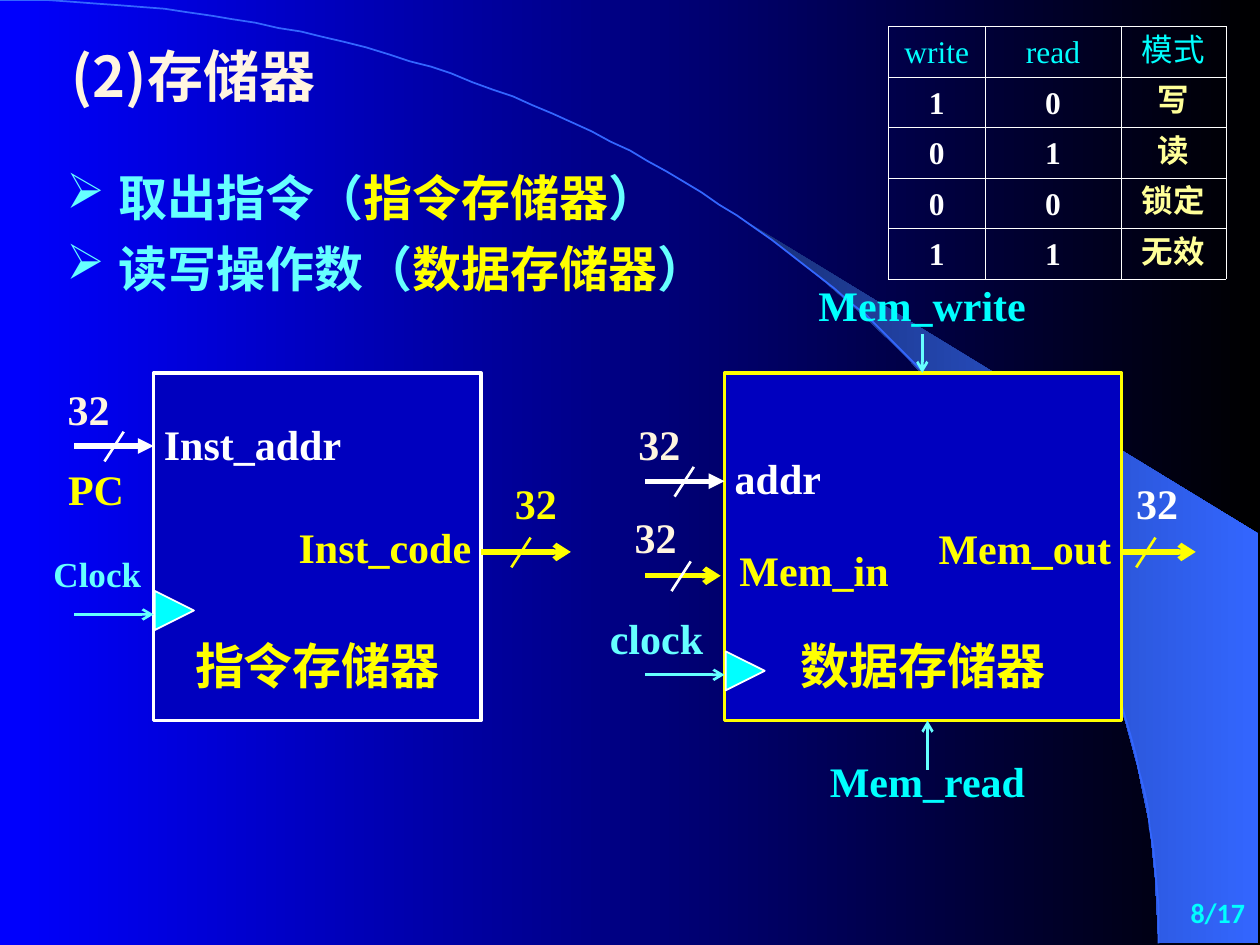
from lxml import etree
from pptx import Presentation
from pptx.dml.color import RGBColor
from pptx.enum import shapes, text
from pptx.oxml import ns
from pptx.util import Pt

SERIF, CJK = "Times New Roman", "Noto Sans CJK SC"
WHITE, CREAM, YELLOW = "FFFFFF", "FFF5E0", "FFFF00"
CYAN, AQUA, NAVY, BLUE = "00FFFF", "66FFFF", "0000BF", "3366FF"
LEFT, CENTER, RIGHT = text.PP_ALIGN.LEFT, text.PP_ALIGN.CENTER, text.PP_ALIGN.RIGHT
MIDDLE, BOTTOM = text.MSO_ANCHOR.MIDDLE, text.MSO_ANCHOR.BOTTOM


def color(value):
    return RGBColor.from_string(value)


def child(parent, tag, **attributes):
    return etree.SubElement(parent, ns.qn(tag), attributes)


def apply(target, values):
    for name, value in values.items():
        setattr(target, name, value)


def gradient(fill, start, end):
    fill.gradient()
    fill.gradient_angle = 0
    for stop, value in zip(fill.gradient_stops, (start, end)):
        stop.color.rgb = color(value)


def add_span(para, words, tint, size, font=SERIF, bold=True):
    span = para.add_run()
    span.text = words
    apply(span.font, {"size": Pt(size), "bold": bold, "name": font})
    span.font.color.rgb = color(tint)
    child(span.font._element, "a:ea", typeface=CJK)


def set_frame(frame, anchor, bottom=0):
    apply(frame, {"word_wrap": True, "vertical_anchor": anchor,
                  "margin_left": 0, "margin_right": 0,
                  "margin_top": 0, "margin_bottom": Pt(bottom)})


def add_label(page, words, x, middle, width, tint, align=LEFT, size=24, font=SERIF):
    """x is the left edge, centre or right edge, according to align."""
    left = x - width * {LEFT: 0, CENTER: 0.5, RIGHT: 1}[align]
    height = size * 1.3
    box = page.shapes.add_textbox(Pt(left), Pt(middle - height / 2), Pt(width), Pt(height))
    set_frame(box.text_frame, MIDDLE)
    para = box.text_frame.paragraphs[0]
    para.alignment = align
    add_span(para, words, tint, size, font)


def add_line(page, start, end, tint, width, head=None):
    line = page.shapes.add_connector(
        shapes.MSO_CONNECTOR.STRAIGHT, *(Pt(n) for n in (*start, *end)))
    line.line.color.rgb = color(tint)
    line.line.width = Pt(width)
    if head:
        child(line.line._get_or_add_ln(), "a:tailEnd", type=head)
    child(line._element.spPr, "a:effectLst")


def add_shape(page, kind, left, top, width, height, fill, line, weight):
    shape = page.shapes.add_shape(kind, Pt(left), Pt(top), Pt(width), Pt(height))
    shape.shadow.inherit = False
    shape.fill.solid()
    shape.fill.fore_color.rgb = color(fill)
    shape.line.color.rgb = color(line)
    shape.line.width = Pt(weight)
    return shape


def add_outline(page, points, close):
    builder = page.shapes.build_freeform(*points[0], scale=Pt(1))
    builder.add_line_segments(points[1:], close=close)
    shape = builder.convert_to_shape()
    shape.shadow.inherit = False
    return shape


def add_backdrop(page):
    gradient(page.background.fill, "0000FF", "000000")

    # Shaded swoosh
    swoosh = add_outline(page, [
        (662.4, 538.6), (719.3, 539.3), (719.3, 304.6), (424, 124.6), (449.3, 143.3),
        (470.2, 159.8), (493.2, 180), (515.5, 201.6), (548.6, 237.6), (578.2, 276.5),
        (599, 310.3), (617.8, 344.9), (632.2, 380.2), (643, 411.8), (650.2, 438.5),
        (657.4, 472.3), (660.2, 501.1)], True)
    gradient(swoosh.fill, "182F76", BLUE)
    swoosh.line.fill.background()

    # Quarter arc, sampled from a cubic curve
    steps = 80
    arc = []
    for step in range(steps + 1):
        t = step / steps
        u = 1 - t
        arc.append((3 * u * u * t * 365.8 + (3 * u * t * t + t ** 3) * 662.4,
                    3 * u * t * t * 241.2 + t ** 3 * 539.3))
    curve = add_outline(page, arc, False)
    curve.fill.background()
    curve.line.color.rgb = color(BLUE)
    curve.line.width = Pt(1)


def add_bullets(page, items):
    box = page.shapes.add_textbox(Pt(2.9), Pt(85), Pt(414), Pt(126))
    frame = box.text_frame
    frame.word_wrap = True
    for index, (action, memory) in enumerate(items):
        para = frame.add_paragraph() if index else frame.paragraphs[0]
        para.line_spacing = Pt(40.6)
        props = para._p.get_or_add_pPr()
        apply_indent = {"marL": Pt(58), "indent": Pt(-30)}
        for name, value in apply_indent.items():
            props.set(name, str(value))
        child(child(props, "a:buClr"), "a:srgbClr", val=AQUA)
        child(props, "a:buChar", char="➢")
        for words, tint in ((action + "（", AQUA), (memory, YELLOW), ("）", AQUA)):
            add_span(para, words, tint, 28, CJK)


def add_memory(page, name, left, width, line, clock_top):
    block = add_shape(page, shapes.MSO_SHAPE.RECTANGLE, left, 213.1, width, 198.7,
                      NAVY, line, 2)
    set_frame(block.text_frame, BOTTOM, 15)
    para = block.text_frame.paragraphs[0]
    para.alignment = CENTER
    add_span(para, name, YELLOW, 28, CJK)
    # Clock input
    mark = add_shape(page, shapes.MSO_SHAPE.ISOSCELES_TRIANGLE, left + 0.7, clock_top,
                     22.3, 22.3, CYAN, WHITE, 1)
    mark.rotation = 90
    y = clock_top + 13.4
    add_line(page, (left - 45.4, y), (left, y), AQUA, 1.5, "arrow")


def add_bus(page, start, end, y, tint, head, slash_x, slash_tint):
    add_line(page, (start, y), (end, y), tint, 3, head)
    add_line(page, (slash_x + 5.5, y - 8.2), (slash_x - 5.5, y + 8.8), slash_tint, 1.5)


def add_modes(page, rows):
    table = page.shapes.add_table(len(rows), 3, Pt(507.6), Pt(15.1),
                                  Pt(193), Pt(144)).table
    table.first_row = table.horz_banding = False
    for column, width in zip(table.columns, (55.4, 77.5, 60.1)):
        column.width = Pt(width)
    for r, row in enumerate(rows):
        table.rows[r].height = Pt(28.8)
        for c, words in enumerate(row):
            cell = table.cell(r, c)
            para = cell.text_frame.paragraphs[0]
            apply(para, {"alignment": CENTER, "line_spacing": Pt(21.6)})
            tint = CYAN if r == 0 else "FFFF99" if c == 2 else WHITE
            add_span(para, words, tint, 18, bold=r > 0)
            props = cell._tc.get_or_add_tcPr()
            for side in ("a:lnL", "a:lnR", "a:lnT", "a:lnB"):
                edge = child(props, side, w=str(Pt(0.23)))
                child(child(edge, "a:solidFill"), "a:srgbClr", val=WHITE)
            cell.fill.background()


def main():
    deck = Presentation()
    apply(deck, {"slide_width": Pt(720), "slide_height": Pt(540)})
    page = deck.slides.add_slide(deck.slide_layouts[6])
    add_backdrop(page)

    # Heading, bullets and page number
    add_label(page, "(2)存储器", 41, 43, 192, CREAM, size=32, font=CJK)
    add_bullets(page, [("取出指令", "指令存储器"), ("读写操作数", "数据存储器")])
    add_label(page, "8/17", 711.4, 521.6, 135, CYAN, RIGHT, 16, "Calibri")

    # Memory blocks with their clocks
    add_memory(page, "指令存储器", 87.8, 187.2, WHITE, 337.7)
    add_memory(page, "数据存储器", 414, 226.8, YELLOW, 372.2)

    # Data buses
    for bus in ((42.5, 87.8, 254.9, WHITE, "triangle", 65.2, WHITE),
                (275, 326.2, 315.4, YELLOW, "arrow", 297.7, YELLOW),
                (368.6, 414, 275, WHITE, "triangle", 391, WHITE),
                (368.6, 411.8, 329, YELLOW, "arrow", 389.2, WHITE),
                (640.8, 683.3, 315.4, YELLOW, "arrow", 654.8, YELLOW)):
        add_bus(page, *bus)

    # Bus widths
    for x, y, tint in ((62.6, 233.3, CREAM), (318.2, 287.3, YELLOW), (388.8, 253.4, CREAM),
                       (386.6, 306.7, CREAM), (673.2, 287.3, WHITE)):
        add_label(page, "32", x, y, 36, tint, RIGHT)

    # Control signals
    add_line(page, (527, 190.8), (527, 213.1), AQUA, 1.5, "arrow")
    add_line(page, (530, 439.9), (530, 411.8), AQUA, 1.5, "arrow")

    # Port names
    for port in (("Inst_addr", 93.6, 253.8, 118, WHITE),
                 ("PC", 38.9, 279.4, 36, YELLOW),
                 ("Inst_code", 269.3, 312.1, 119, YELLOW, RIGHT),
                 ("Clock", 80.6, 327.6, 60, AQUA, RIGHT, 20),
                 ("addr", 419.8, 273.2, 70, WHITE),
                 ("Mem_in", 422.6, 325.8, 100, YELLOW),
                 ("Mem_out", 635, 313.2, 119, YELLOW, RIGHT),
                 ("clock", 401.8, 364.6, 75, AQUA, RIGHT),
                 ("Mem_write", 527, 174.2, 158, CYAN, CENTER),
                 ("Mem_read", 530, 446, 158, CYAN, CENTER)):
        add_label(page, *port)

    # Operating modes
    add_modes(page, [("write", "read", "模式"), ("1", "0", "写"), ("0", "1", "读"),
                     ("0", "0", "锁定"), ("1", "1", "无效")])
    deck.save("out.pptx")


if __name__ == "__main__":
    main()
